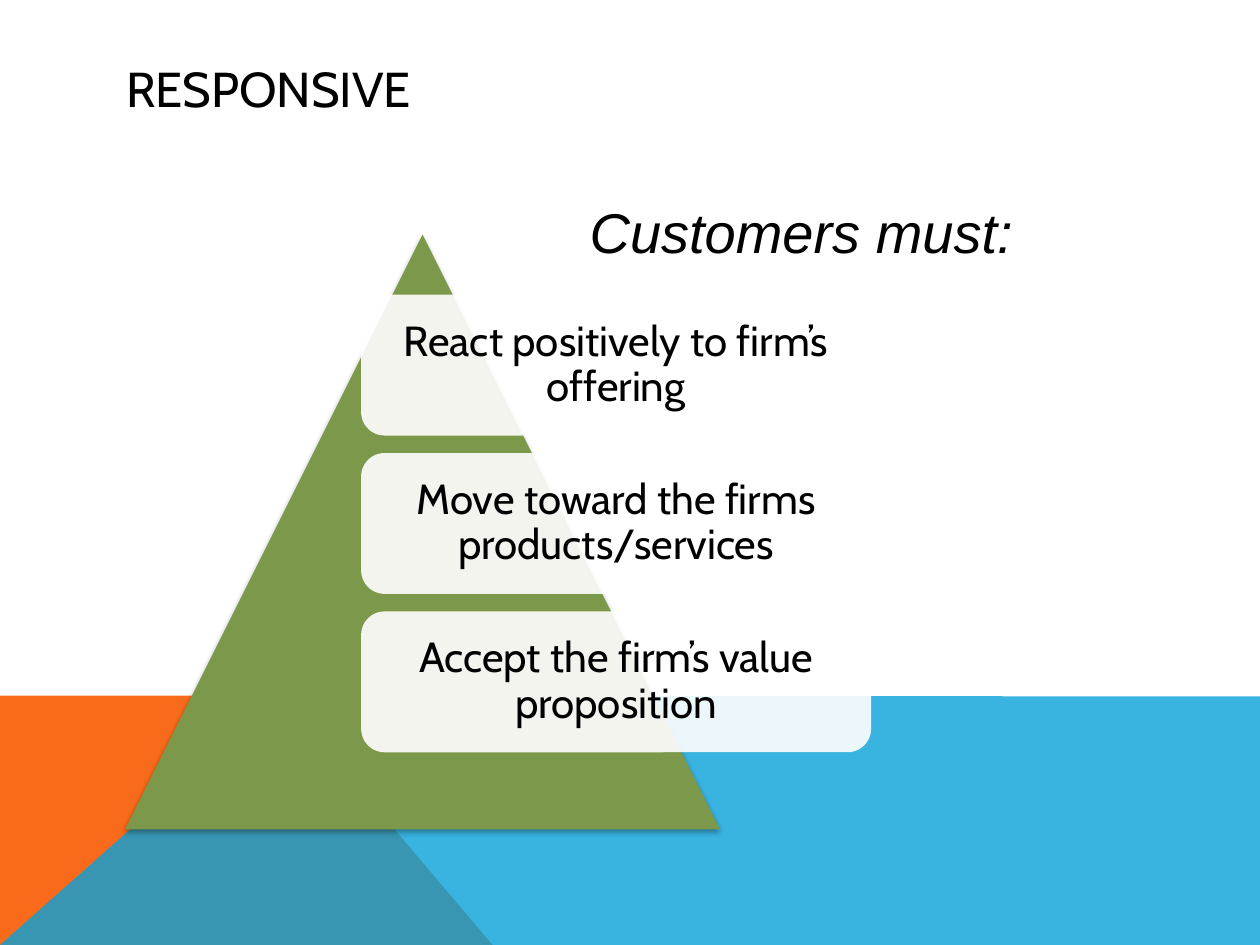
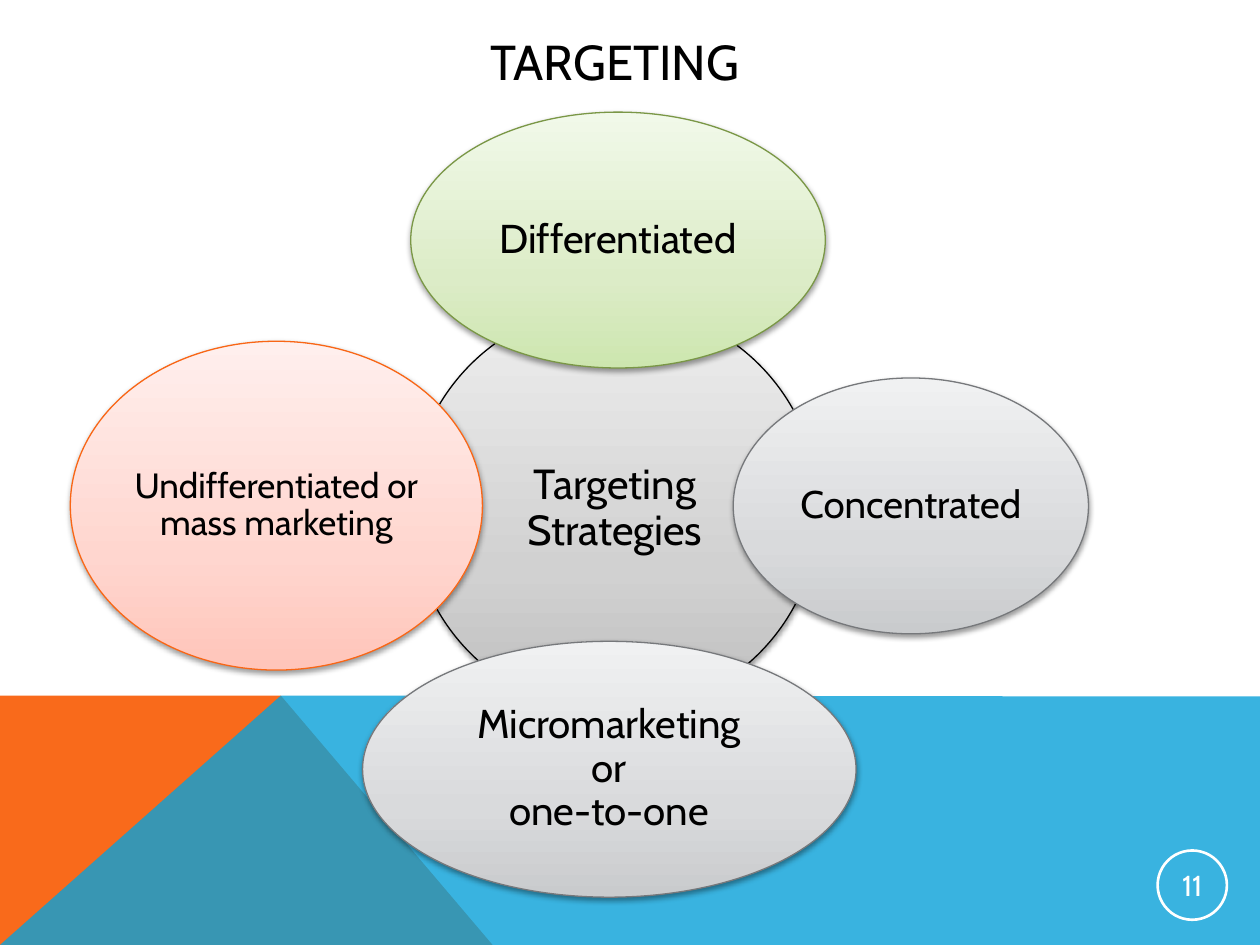
from copy import deepcopy

from lxml.etree import SubElement
from pptx import Presentation
from pptx.dml.color import RGBColor
from pptx.enum.shapes import MSO_SHAPE
from pptx.enum.text import MSO_ANCHOR, MSO_AUTO_SIZE, PP_ALIGN
from pptx.oxml.ns import qn
from pptx.util import Pt

WIDTH, HEIGHT = 720, 540
FONT = "Cabin"
HUES = {
    "black": "000000", "white": "FFFFFF", "orange": "F96A1B",
    "blue": "08A1D9", "olive": "7C984A",
}
# Outline, then the blend from bottom to top
BLENDS = {
    "dark": ("000000", ("BDBDBD", "D1D1D1", "EEEEEE")),
    "green": ("7A9746", ("CDE6AF", "DCECC7", "F1F9E9")),
    "gray": ("76787B", ("C9CBCD", "D9DADC", "F0F1F2")),
    "red": ("F96615", ("FFC5BA", "FFD6CF", "FFEFED")),
}
STOPS = (0, 0.35, 1)


def rgb(code):
    return RGBColor.from_string(code)


def put(item, vals):
    for name, val in vals.items():
        setattr(item, name, val)


def place(item, box):
    put(item, dict(zip(("left", "top", "width", "height"), map(Pt, box))))


def write(shape, text, size, hue="black", align=PP_ALIGN.CENTER, inset=None,
          space=None, face=FONT, slant=None, wrap=True,
          anchor=MSO_ANCHOR.MIDDLE):
    frame = shape.text_frame
    put(frame, {"word_wrap": wrap, "vertical_anchor": anchor})
    if inset is not None:
        sides = ("left", "right", "top", "bottom")
        put(frame, {f"margin_{side}": Pt(inset) for side in sides})
    para = frame.paragraphs[0]
    para.text = text
    put(para, {"alignment": align, "line_spacing": space})
    for run in para.runs:
        put(run.font, {"name": face, "size": Pt(size), "italic": slant})
        run.font.color.rgb = rgb(HUES[hue])


def paint(shape, hue, alpha=100):
    shape.shadow.inherit = False
    shape.line.fill.background()
    shape.fill.solid()
    shape.fill.fore_color.rgb = rgb(HUES[hue])
    if alpha < 100:
        node = shape._element.spPr.find(".//" + qn("a:srgbClr"))
        SubElement(node, qn("a:alpha"), val=str(alpha * 1000))


def shade(shape, dist, alpha):
    shape.shadow.inherit = False
    root = shape._element.spPr.find(qn("a:effectLst"))
    cast = SubElement(root, qn("a:outerShdw"), blurRad=str(Pt(3.1)),
                      dist=str(Pt(dist)), dir="5400000", rotWithShape="0")
    tone = SubElement(cast, qn("a:srgbClr"), val=HUES["black"])
    SubElement(tone, qn("a:alpha"), val=str(alpha * 1000))


def blend(shape, codes):
    fill = shape.fill
    fill.gradient()
    fill.gradient_angle = 90
    stops = shape._element.spPr.find(".//" + qn("a:gsLst"))
    stops.insert(1, deepcopy(stops[0]))
    for stop, code, pos in zip(fill.gradient_stops, codes, STOPS):
        stop.color.rgb = rgb(code)
        stop.position = pos


def add(slide, kind, box):
    return slide.shapes.add_shape(kind, *map(Pt, box))


def add_band(slide, points, hue, alpha=100):
    first, *rest = [(Pt(x), Pt(y)) for x, y in points]
    path = slide.shapes.build_freeform(*first)
    path.add_line_segments(rest, close=True)
    paint(path.convert_to_shape(), hue, alpha)


def add_slide(deck, title, box, align):
    slide = deck.slides.add_slide(deck.slide_layouts[5])
    # Bands along the foot
    top, peak = 397.5, 160.5
    add_band(slide, [(0, HEIGHT), (0, top), (peak, top), (281.5, HEIGHT)],
             "orange")
    add_band(slide, [(0, HEIGHT), (peak, top), (WIDTH, top + 0.5),
                     (WIDTH, HEIGHT)], "blue", 80)
    # Title
    place(slide.shapes.title, box)
    write(slide.shapes.title, title, 28, align=align)
    return slide


def add_card(slide, box, text):
    card = add(slide, MSO_SHAPE.ROUNDED_RECTANGLE, box)
    paint(card, "white", 90)
    write(card, text, 24, inset=7.2, space=0.9)


def add_oval(slide, box, tone, text, size, inset=0):
    edge, codes = BLENDS[tone]
    oval = add(slide, MSO_SHAPE.OVAL, box)
    blend(oval, codes)
    oval.line.color.rgb = rgb(edge)
    oval.line.width = Pt(0.75)
    shade(oval, 1.6, 38)
    write(oval, text, size, inset=inset, space=0.9)


def add_badge(slide, box, text):
    badge = add(slide, MSO_SHAPE.OVAL, box)
    badge.shadow.inherit = False
    badge.fill.background()
    badge.line.color.rgb = rgb(HUES["white"])
    badge.line.width = Pt(1.5)
    write(badge, text, 16.5, "white", inset=0.7)


def add_note(slide, box, text):
    note = slide.shapes.add_textbox(*map(Pt, box))
    write(note, text, 32, align=PP_ALIGN.LEFT, space=1.04, face="Arial",
          slant=True, wrap=False, anchor=MSO_ANCHOR.TOP)
    note.text_frame.auto_size = MSO_AUTO_SIZE.SHAPE_TO_FIT_TEXT


def main():
    deck = Presentation()
    put(deck, {"slide_width": Pt(WIDTH), "slide_height": Pt(HEIGHT)})

    # Responsive: cards on a pyramid
    slide = add_slide(deck, "RESPONSIVE", (64.8, 28.8, 592, 43.2),
                      PP_ALIGN.LEFT)
    peak = add(slide, MSO_SHAPE.ISOSCELES_TRIANGLE, (71.5, 134, 340, 340))
    paint(peak, "olive")
    shade(peak, 1.8, 35)
    cards = ("React positively to firm’s offering",
             "Move toward the firms products/services",
             "Accept the firm’s value proposition")
    for row, text in enumerate(cards):
        add_card(slide, (206.4, 168.4 + row * 90.5, 291.4, 80.5), text)
    add_note(slide, (329.8, 108, 258.5, 44.6), "Customers must:")

    # Targeting: ovals around a core
    slide = add_slide(deck, "TARGETING", (228.2, 2.9, 246.2, 63.4),
                      PP_ALIGN.CENTER)
    add_badge(slide, (661.5, 486, 39.6, 39.6), "11")
    add_oval(slide, (234.7, 174.2, 233.3, 233.3), "dark",
             "Targeting Strategies", 24, 2.2)
    ovals = (
        ((234.7, 64.1, 236.9, 146.2), "green", "Differentiated", 23),
        ((419, 216, 203, 146.2), "gray", "Concentrated", 22),
        ((207.2, 366.5, 282, 146.2), "gray",
         "Micromarketing\nor\none-to-one", 23),
        ((40.2, 195, 235.5, 187.9), "red",
         "Undifferentiated or\nmass marketing", 20),
    )
    for oval in ovals:
        add_oval(slide, *oval)

    deck.save("out.pptx")


if __name__ == "__main__":
    main()
